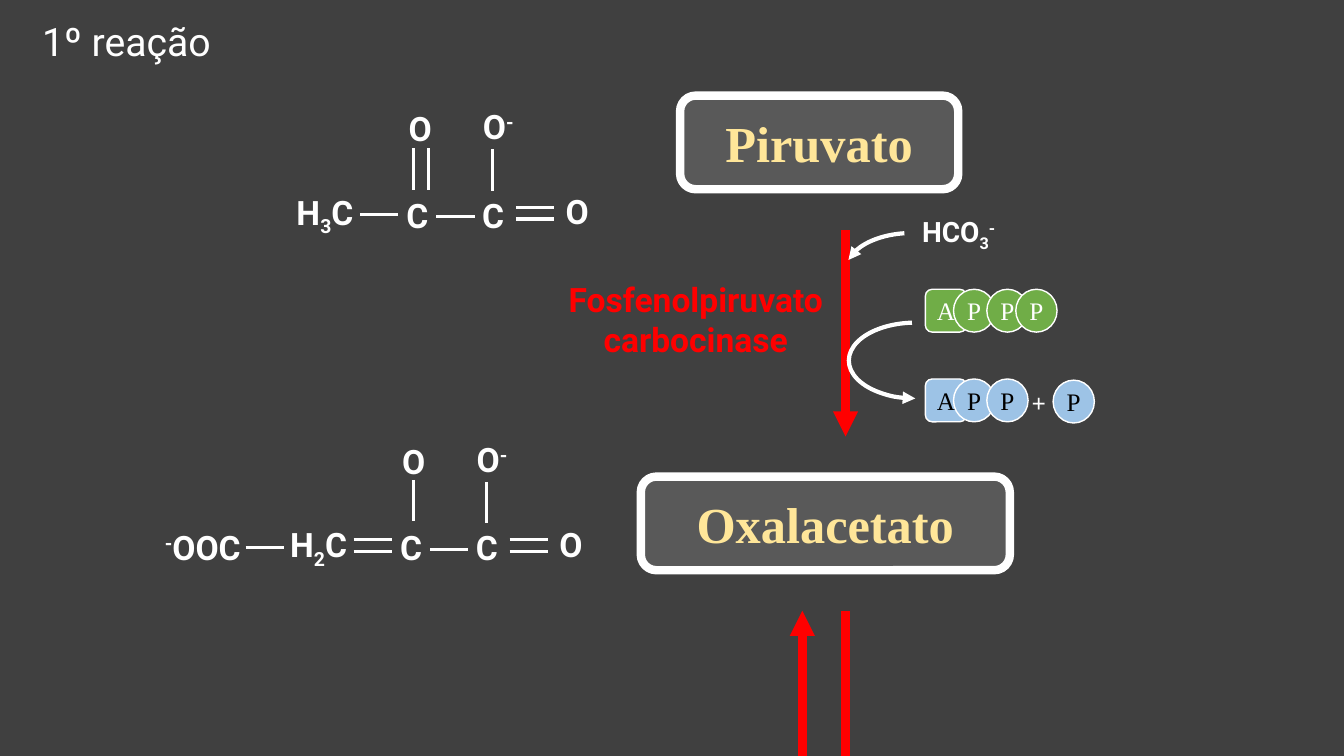
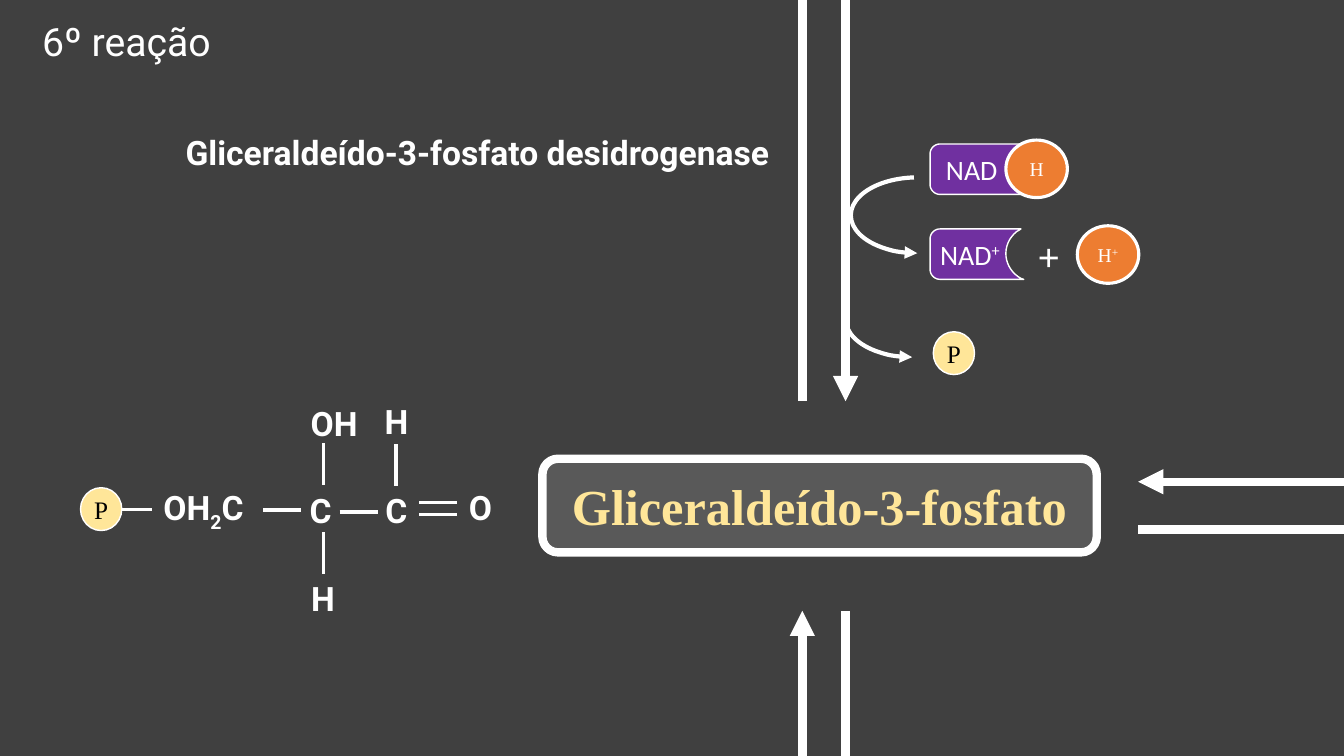
from math import cos, radians, sin

from pptx import Presentation
from pptx.dml.color import RGBColor
from pptx.enum.shapes import MSO_CONNECTOR, MSO_SHAPE as Preset
from pptx.enum.text import MSO_ANCHOR as Anchor, PP_ALIGN as Align
from pptx.oxml.ns import qn
from pptx.oxml.xmlchemy import OxmlElement
from pptx.util import Cm, Pt

# Shared style
WHITE, BLACK, RED = "FFFFFF", "000000", "FF0000"
BACKGROUND, PANEL, CREAM = "404040", "595959", "FFE699"
GREEN, BLUE, PURPLE, ORANGE = "70AD47", "9DC3E6", "7030A0", "ED7D31"
SANS, SERIF, NAD_FONT = "Roboto", "Times New Roman", "Calibri"
BASELINES = {"_": "-25000", "^": "30000"}  # first letter of a raised or lowered run

# Shared measures, in cm
WIDTH, HEIGHT = 33.87, 19.05
DOWN_X, UP_X = 21.31, 20.22
PRODUCT_HEIGHT = 2.36
TOKEN = (1.04, 1.08)
PROTON = (1.55, 1.45)
CURVE = (3.35, 1.91)
NAD_WIDTH, NAD_HEIGHT, NAD_CORNER = 2.36, 1.27, 0.25
BOND = {"h": 0.96, "v": 1.05}
BOND_GAP = {"h": 0.3, "v": 0.38}

# Carbon backbone, measured from its first C: atoms (runs, x, y),
# bonds (direction, x, y, count)
BACKBONE_ATOMS = [("C", 0, 0), ("C", 1.91, 0), ("O", 4.03, -0.08)]
BACKBONE_BONDS = [("h", 0.48, 0.05, 1), ("v", 1.9, -1.65, 1), ("h", 2.48, -0.04, 2)]
CARBOXYL_TOP = [("O", 0.07, -2.18), (("O", "^-"), 2.04, -2.23)]

REACTIONS = [
    {
        "title": "1º reação",
        "colour": RED,
        "products": [("Piruvato", 17.14, 2.41, 7.01), ("Oxalacetato", 16.15, 12.01, 9.3)],
        # x1, y1, x2, y2, has head
        "arrows": [
            (DOWN_X, 15.39, DOWN_X, HEIGHT, False),
            (DOWN_X, 5.79, DOWN_X, 11, True),
            (UP_X, HEIGHT, UP_X, 15.39, True),
        ],
        "enzyme": ("Fosfenolpiruvato carbocinase", 13.18, 6.88, 8.71, 2.31, Align.CENTER),
        # shape, letter, x, y, fill, text colour
        "tokens": [
            (Preset.ROUNDED_RECTANGLE, "A", 23.32, 7.29, GREEN, WHITE),
            *[(Preset.OVAL, "P", x, 7.29, GREEN, WHITE) for x in (24.03, 24.87, 25.6)],
            (Preset.ROUNDED_RECTANGLE, "A", 23.32, 9.55, BLUE, BLACK),
            *[(Preset.OVAL, "P", x, 9.55, BLUE, BLACK) for x in (24.03, 24.87)],
            (Preset.OVAL, "P", 26.54, 9.58, BLUE, BLACK),
        ],
        # runs, centre x, centre y, size, font
        "labels": [
            ("+", 26.18, 10.15, 18, SERIF),
            (("HCO", "_3", "^-"), 24.16, 5.89, 20, SANS),
        ],
        # x, y, angles
        "curves": [(21.39, 8.13, (162, 50.98)), (21.31, 5.87, (5.82, 47.06))],
        "molecules": [
            {
                "origin": (10.52, 5.41),
                "atoms": [(("H", "_3", "C"), -2.33, 0), *CARBOXYL_TOP],
                "bonds": [("h", -1.45, 0, 1), ("v", 0.08, -1.68, 2)],
            },
            {
                "origin": (10.36, 13.79),
                "atoms": [(("^-", "OOC"), -5.25, 0), (("H", "_2", "C"), -2.33, 0), *CARBOXYL_TOP],
                "bonds": [("h", -4.17, 0, 1), ("h", -1.45, -0.04, 2), ("v", 0.06, -1.7, 1)],
            },
        ],
    },
    {
        "title": "6º reação",
        "colour": WHITE,
        "products": [("Gliceraldeído-3-fosfato", 13.67, 11.56, 13.97)],
        "arrows": [
            (DOWN_X, 0, DOWN_X, 10.11, True),
            (UP_X, 10.11, UP_X, 0, False),
            (DOWN_X, 15.39, DOWN_X, HEIGHT, False),
            (UP_X, HEIGHT, UP_X, 15.39, True),
            (WIDTH, 12.14, 28.68, 12.14, True),
            (28.68, 13.34, WIDTH, 13.34, False),
        ],
        "enzyme": ("Gliceraldeído-3-fosfato desidrogenase", 3.84, 3.2, 15.8, 1.27, Align.RIGHT),
        "tokens": [
            (Preset.OVAL, "P", 2.03, 12.29, CREAM, BLACK),
            (Preset.OVAL, "P", 23.52, 8.36, CREAM, BLACK),
        ],
        # runs, x, y, left inset
        "carriers": [("NAD", 23.44, 3.63, 0.4), (("NAD", "^+"), 23.44, 5.77, 0.25)],
        "protons": [("H", 25.35, 3.53), (("H", "^+"), 27.15, 5.69)],
        "labels": [("+", 26.43, 6.45, 28, SERIF)],
        "curves": [(21.44, 4.47, (162, 50.98)), (21.31, 7.09, (162, 1.79))],
        "molecules": [
            {
                "origin": (8.08, 12.85),
                "atoms": [
                    (("OH", "_2", "C"), -2.95, 0),
                    ("OH", 0.34, -2.18),
                    ("H", 1.91, -2.24),
                    ("H", 0.06, 2.21),
                ],
                "bonds": [("h", -1.45, 0, 1), ("v", 0.08, -1.68, 1), ("v", 0.08, 0.56, 1)],
            },
        ],
        "phosphate_bond": (3.07, 12.83, 3.84, 12.83),
    },
]


def rgb(code):
    return RGBColor.from_string(code)


def write(shape, runs, size, font, colour=WHITE, bold=False, align=Align.CENTER, inset=0):
    """Fill a shape with one paragraph; runs may start with _ or ^."""
    frame = shape.text_frame
    frame.word_wrap = True
    frame.vertical_anchor = Anchor.MIDDLE
    frame.margin_left = frame.margin_right = Cm(inset)
    frame.margin_top = frame.margin_bottom = 0
    paragraph = frame.paragraphs[0]
    paragraph.alignment = align
    style = paragraph.font
    style.size, style.name, style.bold = Pt(size), font, bold
    style.color.rgb = rgb(colour)
    for text in (runs,) if isinstance(runs, str) else runs:
        run = paragraph.add_run()
        run.text = text.lstrip("_^")
        if text[0] in BASELINES:
            run._r.get_or_add_rPr().set("baseline", BASELINES[text[0]])


def paint(shape, fill, line_width):
    shape.shadow.inherit = False
    shape.fill.solid()
    shape.fill.fore_color.rgb = rgb(fill)
    shape.line.color.rgb = rgb(WHITE)
    shape.line.width = Pt(line_width)


def add_head(shape, end):
    head = OxmlElement(f"a:{end}")
    head.set("type", "triangle")
    shape._element.spPr.find(qn("a:ln")).append(head)


def add_block(slide, preset, x, y, size, fill, line_width):
    block = slide.shapes.add_shape(preset, Cm(x), Cm(y), Cm(size[0]), Cm(size[1]))
    paint(block, fill, line_width)
    return block


def add_line(slide, x1, y1, x2, y2, width, colour=WHITE, head=False):
    line = slide.shapes.add_connector(MSO_CONNECTOR.STRAIGHT, Cm(x1), Cm(y1), Cm(x2), Cm(y2))
    line.line.color.rgb = rgb(colour)
    line.line.width = Pt(width)
    if head:
        add_head(line, "tailEnd")
    line._element.spPr.append(OxmlElement("a:effectLst"))


def add_label(slide, runs, x, y, size, font):
    """Bold text centred on a point."""
    width, height = 2.4, 1.27
    label = slide.shapes.add_textbox(Cm(x - width / 2), Cm(y - height / 2), Cm(width), Cm(height))
    write(label, runs, size, font, bold=True)


def add_curve(slide, x, y, angles):
    curve = slide.shapes.add_shape(Preset.ARC, Cm(x), Cm(y), Cm(CURVE[0]), Cm(CURVE[1]))
    curve.rotation = 180
    curve.adjustments[0], curve.adjustments[1] = angles
    curve.shadow.inherit = False
    curve.fill.background()
    curve.line.color.rgb = rgb(WHITE)
    curve.line.width = Pt(3)
    add_head(curve, "headEnd")


def arc_points(cx, cy, rx, ry, start, end, steps=16):
    angles = [radians(start + (end - start) * i / steps) for i in range(steps + 1)]
    return [(cx + rx * cos(a), cy + ry * sin(a)) for a in angles]


def add_carrier(slide, runs, x, y, inset):
    """Plate with round left corners and a hollow right side for the proton."""
    r = NAD_CORNER
    outline = [
        (2.29, 0),
        *arc_points(2.69, 0.62, 0.78, 0.73, 229, 120),
        (NAD_WIDTH, NAD_HEIGHT),
        *arc_points(r, NAD_HEIGHT - r, r, r, 90, 180),
        *arc_points(r, r, r, r, 180, 270),
    ]
    points = [(Cm(x + px), Cm(y + py)) for px, py in outline]
    builder = slide.shapes.build_freeform(*points[0])
    builder.add_line_segments(points[1:], close=True)
    plate = builder.convert_to_shape()
    paint(plate, PURPLE, 1)
    write(plate, runs, 20, NAD_FONT, align=Align.LEFT, inset=inset)


def add_molecule(slide, origin, atoms, bonds):
    ox, oy = origin
    for direction, x, y, count in BACKBONE_BONDS + bonds:
        length = BOND[direction]
        for i in range(count):
            shift = (i - (count - 1) / 2) * BOND_GAP[direction]
            if direction == "h":
                x1, y1, dx, dy = ox + x, oy + y + shift, length, 0
            else:
                x1, y1, dx, dy = ox + x + shift, oy + y, 0, length
            add_line(slide, x1, y1, x1 + dx, y1 + dy, 2.25)
    for runs, x, y in BACKBONE_ATOMS + atoms:
        add_label(slide, runs, ox + x, oy + y, 24, SANS)


def add_reaction(prs, reaction):
    slide = prs.slides.add_slide(prs.slide_layouts[5])

    # Title
    title = slide.shapes.title
    title.left, title.top, title.width, title.height = Cm(0.05), Cm(0.3), Cm(6.27), Cm(1.45)
    write(title, reaction["title"], 28, SANS)

    # Named products and the path between them
    for name, x, y, width in reaction["products"]:
        size = (width, PRODUCT_HEIGHT)
        product = add_block(slide, Preset.ROUNDED_RECTANGLE, x, y, size, PANEL, 6)
        write(product, name, 36, SERIF, CREAM, bold=True)
    for *ends, head in reaction["arrows"]:
        add_line(slide, *ends, 6, reaction["colour"], head)
    name, x, y, width, height, align = reaction["enzyme"]
    enzyme = slide.shapes.add_textbox(Cm(x), Cm(y), Cm(width), Cm(height))
    write(enzyme, name, 24, SANS, reaction["colour"], True, align, 0.25)

    # Cofactors
    for preset, letter, x, y, fill, colour in reaction["tokens"]:
        write(add_block(slide, preset, x, y, TOKEN, fill, 1), letter, 18, SERIF, colour)
    for carrier in reaction.get("carriers", []):
        add_carrier(slide, *carrier)
    for runs, x, y in reaction.get("protons", []):
        write(add_block(slide, Preset.OVAL, x, y, PROTON, ORANGE, 2.25), runs, 14, SERIF)
    for label in reaction["labels"]:
        add_label(slide, *label)
    for curve in reaction["curves"]:
        add_curve(slide, *curve)

    # Structural formulas
    for molecule in reaction["molecules"]:
        add_molecule(slide, **molecule)
    if "phosphate_bond" in reaction:
        add_line(slide, *reaction["phosphate_bond"], 2.25)


def main():
    prs = Presentation()
    prs.slide_width, prs.slide_height = Cm(WIDTH), Cm(HEIGHT)
    backdrop = prs.slide_master.background.fill
    backdrop.solid()
    backdrop.fore_color.rgb = rgb(BACKGROUND)
    for reaction in REACTIONS:
        add_reaction(prs, reaction)
    prs.save("out.pptx")


if __name__ == "__main__":
    main()
